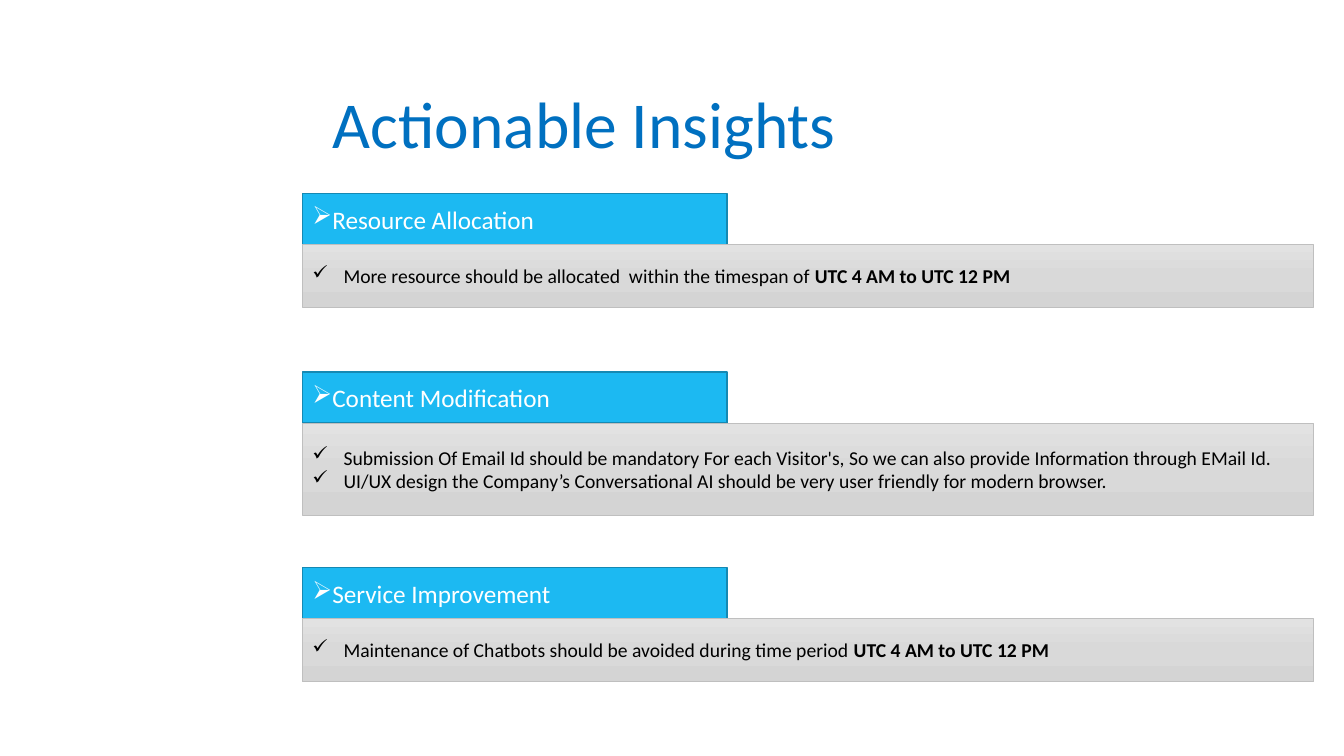
import copy

import pptx
import pptx.dml.color
import pptx.enum.shapes
import pptx.enum.text
import pptx.oxml.ns
import pptx.util
from lxml import etree

COLORS = {
    "title": "0070C0",
    "heading": "1CB9F2", "heading_line": "1589B3", "heading_text": "FFFFFF",
    "panel_line": "BFBFBF", "panel_text": "000000",
    "panel_top": "E2E2E2", "panel_mid": "D9D9D9", "panel_bottom": "D4D4D4",
}
FONT = "Calibri"
WIDTH, HEIGHT = pptx.util.Inches(13.33), pptx.util.Inches(7.5)
HEADING_HEIGHT = 6.75  # percent of the slide height
HEADING_SHARE = 0.42   # share of the section width
PEAK_HOURS = ("UTC 4 AM to UTC 12 PM", True)

# Boxes are left, top, width, height in percent of the slide
TITLE_BOX = (24, 10.53, 68.5, 11.2)
SECTIONS = [
    ((22.5, 25.6, 75.25, 15.05), "Resource Allocation", [
        [("More resource should be allocated  within the timespan of ", False),
         PEAK_HOURS]]),
    ((22.5, 49.2, 75.25, 18.95), "Content Modification", [
        [("Submission Of Email Id should be mandatory For each Visitor's, "
          "So we can also provide Information through EMail Id.", False)],
        [("UI/UX design the Company’s Conversational AI should be "
          "very user friendly for modern browser.", False)]]),
    ((22.5, 75.1, 75.25, 15.05), "Service Improvement", [
        [("Maintenance of Chatbots should be avoided during time period ", False),
         PEAK_HOURS]]),
]


def rgb(name):
    return pptx.dml.color.RGBColor.from_string(COLORS[name])


def to_emu(box):
    """Turn percentages of the slide into lengths."""
    x, y, w, h = box
    return [int(WIDTH * x / 100), int(HEIGHT * y / 100),
            int(WIDTH * w / 100), int(HEIGHT * h / 100)]


def add_text(p, text, size, color, bold=False):
    r = p.add_run()
    r.text = text
    r.font.name = FONT
    r.font.size = pptx.util.Pt(size)
    r.font.bold = bold
    r.font.color.rgb = rgb(color)


def add_bullet(p, char, indent=0):
    p.alignment = pptx.enum.text.PP_ALIGN.LEFT
    pPr = p._p.get_or_add_pPr()
    pPr.set("marL", str(pptx.util.Inches(indent)))
    pPr.set("indent", str(pptx.util.Inches(-indent)))
    etree.SubElement(pPr, pptx.oxml.ns.qn("a:buChar")).set("char", char)


def add_bar(s, box, line, line_width):
    sp = s.shapes.add_shape(
        pptx.enum.shapes.MSO_SHAPE.ROUNDED_RECTANGLE, *to_emu(box))
    sp.adjustments[0] = 0
    sp.shadow.inherit = False
    sp.line.color.rgb = rgb(line)
    sp.line.width = pptx.util.Pt(line_width)
    sp.text_frame.word_wrap = True
    sp.text_frame.vertical_anchor = pptx.enum.text.MSO_ANCHOR.MIDDLE
    return sp


def fill_panel(sp):
    """Shade the panel from top to bottom through three greys."""
    sp.fill.gradient()
    sp.fill.gradient_angle = 270
    first = sp.fill.gradient_stops[0]._gs
    first.addnext(copy.deepcopy(first))
    for i, (stop, color) in enumerate(zip(
            sp.fill.gradient_stops, ("panel_top", "panel_mid", "panel_bottom"))):
        stop.position = i / 2
        stop.color.rgb = rgb(color)


def add_title(s, box, text):
    sp = s.shapes.title
    sp.left, sp.top, sp.width, sp.height = to_emu(box)
    tf = sp.text_frame
    tf.word_wrap = True
    tf.auto_size = pptx.enum.text.MSO_AUTO_SIZE.NONE
    tf.vertical_anchor = pptx.enum.text.MSO_ANCHOR.MIDDLE
    p = tf.paragraphs[0]
    p.alignment = pptx.enum.text.PP_ALIGN.LEFT
    add_text(p, text, size=46.8, color="title")


def add_section(s, box, heading, points):
    x, y, w, h = box

    # Heading bar
    sp = add_bar(s, (x, y, w * HEADING_SHARE, HEADING_HEIGHT), "heading_line", 1)
    sp.fill.solid()
    sp.fill.fore_color.rgb = rgb("heading")
    p = sp.text_frame.paragraphs[0]
    add_bullet(p, "➢")
    add_text(p, heading, size=18, color="heading_text")

    # Panel with the points
    sp = add_bar(s, (x, y + HEADING_HEIGHT, w, h - HEADING_HEIGHT), "panel_line", 0.5)
    fill_panel(sp)
    tf = sp.text_frame
    for i, runs in enumerate(points):
        p = tf.add_paragraph() if i else tf.paragraphs[0]
        add_bullet(p, "✓", indent=0.31)
        for text, bold in runs:
            add_text(p, text, size=14, color="panel_text", bold=bold)


def main():
    prs = pptx.Presentation()
    prs.slide_width, prs.slide_height = WIDTH, HEIGHT
    s = prs.slides.add_slide(prs.slide_layouts[5])
    add_title(s, TITLE_BOX, "Actionable Insights")
    for box, heading, points in SECTIONS:
        add_section(s, box, heading, points)
    prs.save("out.pptx")


if __name__ == "__main__":
    main()
